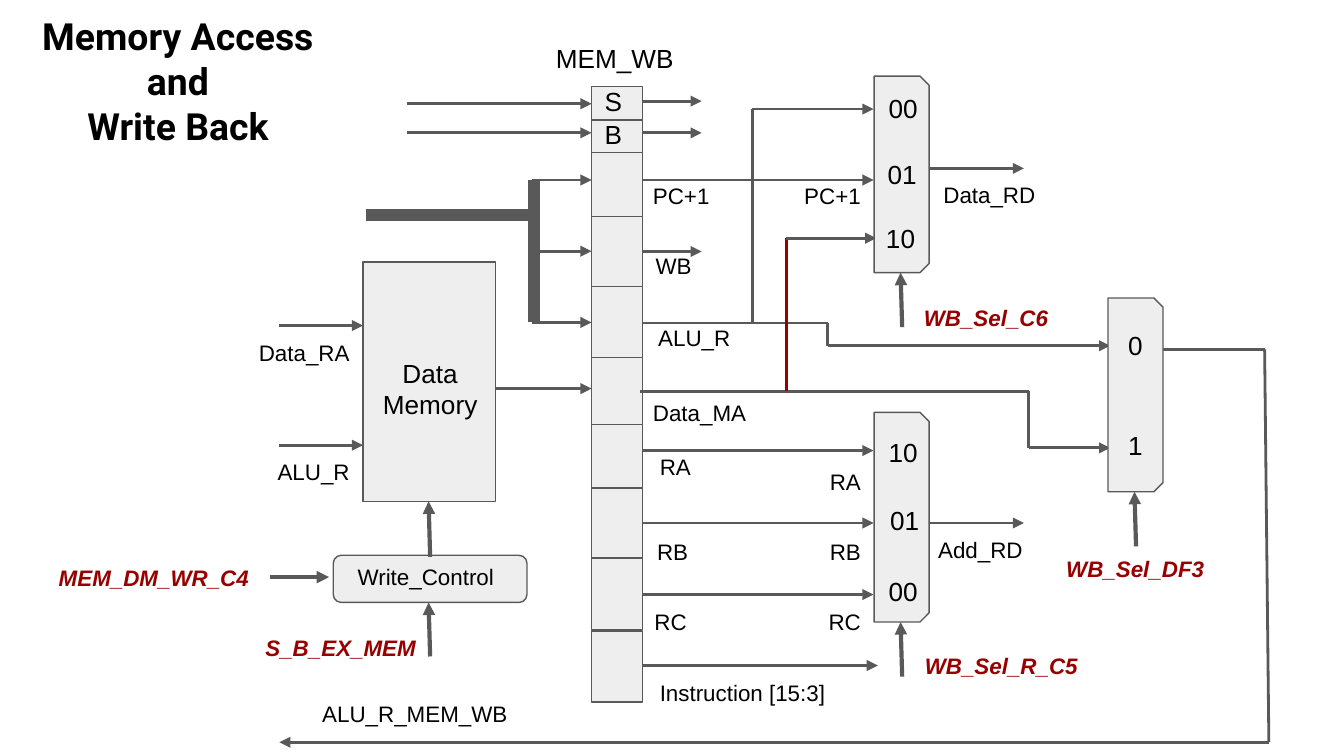
from collections import namedtuple
from itertools import pairwise

from lxml import etree
from pptx import Presentation
from pptx.dml.color import RGBColor
from pptx.enum.shapes import MSO_CONNECTOR, MSO_SHAPE
from pptx.enum.text import PP_ALIGN
from pptx.oxml.ns import qn
from pptx.util import Cm, Pt

BLACK = RGBColor(0x00, 0x00, 0x00)
GREY = RGBColor(0x59, 0x59, 0x59)
PALE = RGBColor(0xEE, 0xEE, 0xEE)
RED = RGBColor(0x98, 0x00, 0x00)

LEFT, CENTER, RIGHT = PP_ALIGN.LEFT, PP_ALIGN.CENTER, PP_ALIGN.RIGHT
STRAIGHT = MSO_CONNECTOR.STRAIGHT
RECTANGLE = MSO_SHAPE.RECTANGLE
ROUNDED = MSO_SHAPE.ROUNDED_RECTANGLE
SNIPPED = MSO_SHAPE.SNIP_2_SAME_RECTANGLE

TITLE = {"name": "Roboto", "size": Pt(20), "bold": True}
BLOCK = {"name": "Arial", "size": Pt(14)}
SIGNAL = {"name": "Arial", "size": Pt(12)}
CONTROL = {"name": "Arial", "size": Pt(12), "bold": True, "italic": True}

THIN, MEDIUM, THICK = 1.5, 2.25, 6
INSET = Cm(0.25)

Box = namedtuple("Box", "left top width height")


def add_text(page, box, place, text, style=SIGNAL, align=LEFT, color=BLACK):
    """Write text lines at (x, y, width, height) measured from the box corner."""
    x, y, width, height = place
    label = page.shapes.add_textbox(
        Cm(box.left + x), Cm(box.top + y), Cm(width), Cm(height))
    frame = label.text_frame
    frame.word_wrap = True
    for side in ("left", "right", "top", "bottom"):
        setattr(frame, f"margin_{side}", INSET)
    for index, line in enumerate(text.split("\n")):
        para = frame.add_paragraph() if index else frame.paragraphs[0]
        para.alignment = align
        span = para.add_run()
        span.text = line
        span.font.color.rgb = color
        for name, value in style.items():
            setattr(span.font, name, value)


def add_block(page, box, kind=RECTANGLE, adjustments=(), rotation=0):
    """Draw a pale outlined shape that fills the box."""
    shape = page.shapes.add_shape(kind, *(Cm(length) for length in box))
    shape.shadow.inherit = False
    shape.rotation = rotation
    shape.fill.solid()
    shape.fill.fore_color.rgb = PALE
    shape.line.color.rgb = GREY
    shape.line.width = Pt(0.75)
    for index, value in enumerate(adjustments):
        shape.adjustments[index] = value


def add_wire(page, box, points, width=THIN, arrow=True, color=GREY):
    """Join points given from the box corner, with an arrowhead on the last."""
    for start, end in pairwise(points):
        wire = page.shapes.add_connector(
            STRAIGHT, Cm(box.left + start[0]), Cm(box.top + start[1]),
            Cm(box.left + end[0]), Cm(box.top + end[1]))
        wire.line.color.rgb = color
        wire.line.width = Pt(width)
        properties = wire._element.spPr
        if arrow and end == points[-1]:
            line = properties.find(qn("a:ln"))
            etree.SubElement(line, qn("a:tailEnd"), type="triangle")
        etree.SubElement(properties, qn("a:effectLst"))


def draw_title(page, box):
    """Write the slide title."""
    add_text(page, box, (0, 0, box.width, box.height),
             "Memory Access\nand\nWrite Back", TITLE, CENTER)


def draw_register(page, box):
    """Draw the pipeline register with its flag inputs and outputs."""
    tops = (0, 0.61, 1.12, 2.44, 3.78, 5.05, 6.25, 7.57, 8.92, 10.29)
    for index, top in reversed(list(enumerate(tops))):
        height = 0.64 if index < 2 else 1.34
        add_block(page, Box(box.left, box.top + top, box.width, height))
    add_text(page, box, (-1.15, -1.07, 3.18, 1.12), "MEM_WB", BLOCK, CENTER)
    for flag, label_y, input_y in (("S", -0.26, 0.33), ("B", 0.35, 0.88)):
        add_text(page, box, (0, label_y, 1.17, 1.12), flag, BLOCK)
        add_wire(page, box, [(-3.48, input_y), (0, input_y)])
    for y, end in ((0.28, 2.08), (0.88, 2.08), (1.77, 5.33), (3.12, 2.08),
                   (6.88, 5.33), (8.25, 5.33), (9.6, 5.33), (10.94, 5.41)):
        add_wire(page, box, [(box.width, y), (end, y)])
    for text, x, y, width in (
            ("PC+1", 0.91, 1.57, 1.6), ("WB", 0.96, 2.89, 1.96),
            ("ALU_R", 1.01, 4.24, 2.74), ("Data_MA", 0.91, 5.66, 2.74),
            ("RA", 1.04, 6.68, 1.47), ("RB", 0.99, 8.28, 1.47),
            ("RC", 0.94, 9.6, 1.37), ("Instruction [15:3]", 1.04, 10.94, 3.81)):
        add_text(page, box, (x, y, width, 1.02), text)


def draw_bus(page, box):
    """Draw the thick input bus and its three taps."""
    middle = box.height / 2
    add_wire(page, box, [(box.width, box.height), (box.width, 0)], THICK, False)
    add_wire(page, box, [(0, 0.66), (box.width, 0.66)], THICK, False)
    for y in (0, middle, box.height):
        add_wire(page, box, [(box.width - 0.03, y), (box.width + 1.09, y)])


def draw_memory(page, box):
    """Draw the data memory with two inputs and one output."""
    add_block(page, box)
    add_text(page, box, (-0.23, 1.55, 3, 1.7), "Data\nMemory", BLOCK, CENTER)
    for text, y in (("Data_RA", 1.2), ("ALU_R", 3.46)):
        add_wire(page, box, [(-1.58, y), (0, y)])
        add_text(page, box, (-2.41, y, 2.41, 1.02), text, align=RIGHT)
    add_wire(page, box, [(box.width, 2.39), (4.32, 2.39)])


def draw_write_control(page, box):
    """Draw the write control with its two control signals."""
    add_block(page, box, ROUNDED, (0.167,))
    add_text(page, box, (0.2, -0.1, 3.1, 1.02), "Write_Control", align=CENTER)
    for points in ([(1.83, 0.03), (1.8, -1.02)],
                   [(1.83, 1.91), (1.8, box.height)],
                   [(-1.19, 0.41), (-0.08, 0.41)]):
        add_wire(page, box, points, MEDIUM)
    for text, place in (("MEM_DM_WR_C4", (-5.56, -0.08, 4.34, 1.02)),
                        ("S_B_EX_MEM", (-1.6, 1.24, 3.48, 1.02))):
        add_text(page, box, place, text, CONTROL, CENTER, RED)


def draw_routes(page, box):
    """Draw the result routes from the register to the multiplexers."""
    add_wire(page, box, [(0, 4.04), (3.5, 4.04), (3.5, 4.47), (8.84, 4.47)])
    add_wire(page, box, [(2.08, 4.04), (2.08, 0), (4.37, 0)])
    add_wire(page, box, [(-0.05, 5.33), (7.3, 5.33), (7.3, 6.4), (8.84, 6.4)])
    add_wire(page, box, [(2.72, 5.33), (2.72, 2.44)], arrow=False, color=RED)
    add_wire(page, box, [(2.72, 2.44), (4.42, 2.44)])


def draw_mux(page, box, choices, select, sources=(), output=None):
    """Draw a multiplexer with its choices, select, sources and output."""
    shift = (box.height - box.width) / 2
    add_block(page, Box(box.left - shift, box.top + shift, box.height, box.width),
              SNIPPED, (0.167, 0), 90)
    for text, x, y in choices:
        add_text(page, box, (x, y, 1.12, 1.12), text, BLOCK, CENTER)
    for text, y in sources:
        add_text(page, box, (-1.6, y, 1.6, 1.02), text, align=RIGHT)
    add_wire(page, box, [(0.53, box.height + 1.03), (0.5, box.height)], MEDIUM)
    text, x, drop, width = select
    add_text(page, box, (x, box.height + drop, width, 1.02),
             text, CONTROL, CENTER, RED)
    if output:
        text, x, y = output
        add_wire(page, box, [(box.width, y), (2.83, y)])
        add_text(page, box, (x, y, 2.41, 1.02), text)


def draw_return(page, box):
    """Draw the write-back loop along the right and lower edges."""
    add_wire(page, box, [(16.69, 0), (box.width - 0.08, 0),
                         (box.width, box.height), (0, box.height)])
    add_text(page, box, (0.56, 6.38, 4.34, 1.02), "ALU_R_MEM_WB")


def main():
    """Build the slide and save it."""
    deck = Presentation()
    deck.slide_width, deck.slide_height = Cm(25.4), Cm(14.28)
    page = deck.slides.add_slide(deck.slide_layouts[6])
    draw_title(page, Box(0, 0, 6.73, 3.07))
    draw_bus(page, Box(6.91, 3.4, 3.18, 2.69))
    draw_memory(page, Box(6.86, 4.95, 2.51, 4.52))
    draw_write_control(page, Box(6.3, 10.49, 3.66, 0.89))
    draw_register(page, Box(11.18, 1.63, 0.97, 11.63))
    draw_routes(page, Box(12.14, 2.06, 8.84, 6.4))
    draw_mux(page, Box(16.52, 1.44, 1.04, 3.71),
             (("00", -0.01, 0.06), ("01", -0.03, 1.3), ("10", -0.06, 2.52)),
             ("WB_Sel_C6", 0.35, 0.34, 3.53),
             (("PC+1", 1.76),), ("Data_RD", 1.06, 1.74))
    draw_mux(page, Box(16.52, 7.79, 1.04, 3.96),
             (("10", -0.01, 0.21), ("01", 0.02, 1.48), ("00", -0.01, 2.83)),
             ("WB_Sel_R_C5", 0.35, 0.32, 4.11),
             (("RA", 0.8), ("RB", 2.12), ("RC", 3.44)), ("Add_RD", 0.96, 2.09))
    draw_mux(page, Box(20.94, 5.63, 1.04, 3.66),
             (("0", -0.04, 0.34), ("1", -0.04, 2.24)),
             ("WB_Sel_DF3", -1.25, 0.95, 3.53))
    draw_return(page, Box(5.28, 6.6, 18.7, 7.42))
    deck.save("out.pptx")


if __name__ == "__main__":
    main()
